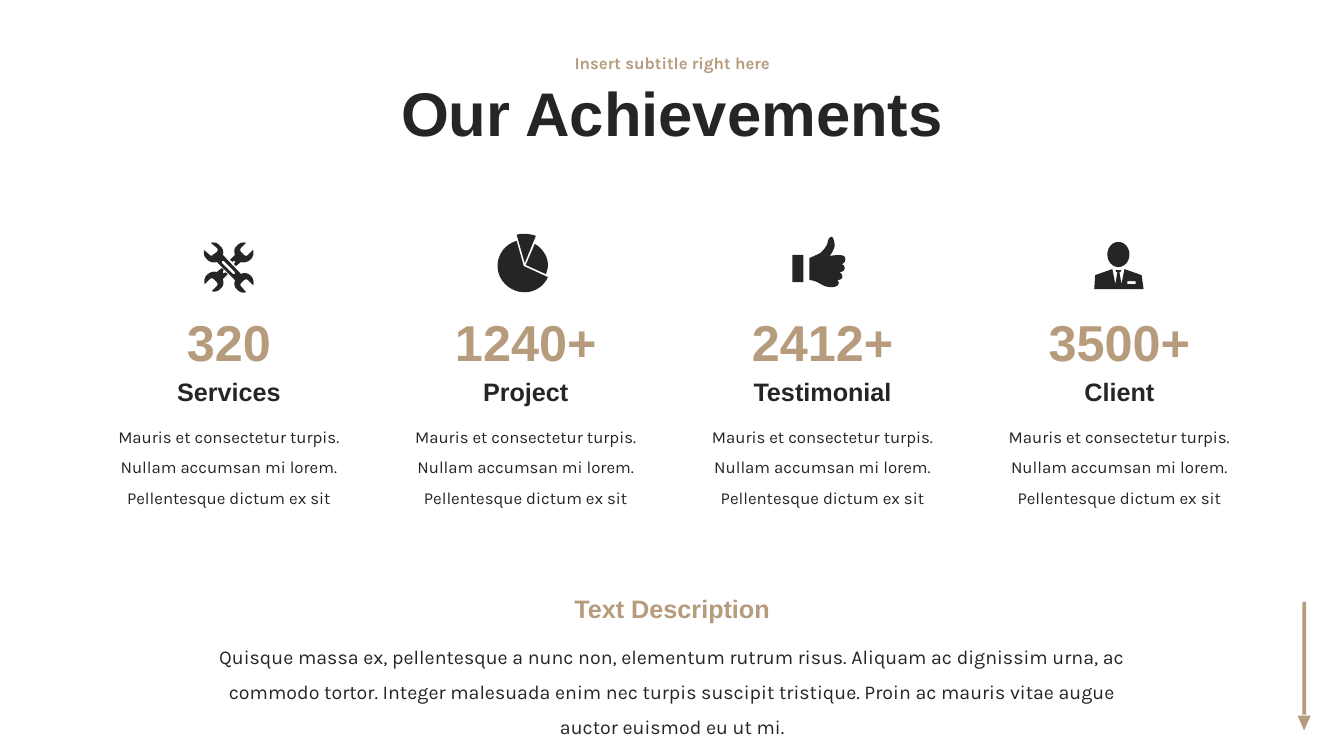
"""Build the "Our Achievements" slide with four icon columns and a description."""
from dataclasses import dataclass

from lxml.etree import SubElement
from pptx import Presentation
from pptx.dml.color import RGBColor
from pptx.enum.shapes import MSO_SHAPE as Shape
from pptx.enum.text import MSO_ANCHOR as Anchor, MSO_AUTO_SIZE as AutoSize, PP_ALIGN as Align
from pptx.oxml.ns import qn
from pptx.util import Cm, Pt


@dataclass(frozen=True)
class Theme:
    """Hold the colours, fonts and type sizes of the slide."""
    ink: RGBColor = RGBColor(0x24, 0x25, 0x27)
    accent: RGBColor = RGBColor(0xB6, 0x9B, 0x7D)
    paper: RGBColor = RGBColor(0xFF, 0xFF, 0xFF)
    heading_font: str = "Arial"
    body_font: str = "Karla"
    title: int = 44
    number: int = 36
    label: int = 18
    description: int = 14
    body: int = 12


THEME = Theme()
ICON_UNIT = Cm(0.0254)
ICON_Y = Cm(6.73)
FIRST_COLUMN, COLUMN_PITCH = 5.77, 7.48
COLUMN_TEXT = "Mauris et consectetur turpis. Nullam accumsan mi lorem. Pellentesque dictum ex sit"
DESCRIPTION = (
    "Quisque massa ex, pellentesque a nunc non, elementum rutrum risus. "
    "Aliquam ac dignissim urna, ac commodo tortor. Integer malesuada enim nec "
    "turpis suscipit tristique. Proin ac mauris vitae augue auctor euismod eu ut mi."
)

PIE_RIGHT = [(0, -2), (20, 7), (21, 4, 22, 1, 22, -2), (22, -11, 16, -19, 9, -23)]
PIE_MAIN = [(-2, -1), (-9, -26), (-20, -23, -28, -13, -28, -1),
            (-28, 13, -16, 25, -1, 25), (9, 25, 18, 19, 22, 10)]
PIE_TOP = [(-1, -4), (10, -31), (7, -32, 3, -33, -2, -33), (-4, -33, -6, -33, -9, -32)]

HALF_WRENCH = [
    (4, -5), (4, -6), (6, -6), (6, -4), (5, -3), (7, -1), (12, -5),
    (15, -4, 19, -5, 22, -8), (24, -10, 25, -14, 24, -17), (19, -12),
    (18, -11, 16, -11, 15, -12), (12, -15), (11, -16, 11, -18, 12, -19),
    (17, -24), (14, -25, 10, -24, 8, -21), (5, -19, 5, -15, 6, -12), (1, -7)]
OTHER_HALF = [tuple(-value for value in step) for step in HALF_WRENCH]
FULL_WRENCH = [
    (22, 9), (19, 6, 15, 5, 12, 7), (-6, -12), (-5, -15, -6, -19, -9, -21),
    (-11, -24, -15, -25, -18, -24), (-12, -19), (-11, -18, -11, -16, -12, -15),
    (-16, -12), (-17, -11, -18, -11, -19, -12), (-25, -17),
    (-25, -14, -25, -10, -22, -8), (-20, -5, -16, -4, -12, -5), (6, 13),
    (5, 16, 5, 20, 8, 22), (10, 25, 14, 26, 17, 25), (12, 19),
    (11, 18, 11, 17, 12, 16), (15, 13), (16, 12, 18, 12, 19, 13), (24, 18),
    (25, 15, 24, 11, 22, 9)]
WRENCH_SLOT = [(6, 7), (4, 7), (-7, -4), (-7, -6), (-5, -6), (6, 5)]

HAND = [
    (21, -11), (18, -13, 7, -11, 7, -11), (9, -13, 12, -19, 12, -21),
    (12, -24, 11, -30, 9, -30), (6, -30, 5, -25, 5, -24), (4, -20, 0, -16, -2, -14),
    (-6, -12, -8, -11, -13, -9), (-13, 13), (-10, 13, -8, 14, -5, 15),
    (0, 18, 3, 20, 9, 20), (18, 20, 17, 13, 14, 13), (21, 13, 21, 8, 17, 5),
    (24, 5, 23, -3, 18, -3), (23, -3, 24, -9, 21, -11)]
CUFF = (Shape.RECTANGLE, -30, -12, 11, 27)

SUIT = [(22, 8), (5, 2), (2, 17), (0, 5), (1, 5), (2, 3), (-4, 3), (-3, 5),
        (-2, 5), (-4, 17), (-7, 2), (-24, 8), (-25, 22), (24, 22)]
POCKET = [(16, 17), (8, 17), (8, 14), (16, 14)]
HEAD = (Shape.OVAL, -12, -25, 22, 25)

ACHIEVEMENTS = [
    ("320", 5.13, "Services", 4.72, [[HALF_WRENCH], [OTHER_HALF], [FULL_WRENCH, WRENCH_SLOT]], []),
    ("1240+", 5.97, "Project", 4.72, [[PIE_RIGHT], [PIE_MAIN], [PIE_TOP]], []),
    ("2412+", 5.97, "Testimonial", 6.2, [[HAND]], [CUFF]),
    ("3500+", 5.97, "Client", 4.72, [[SUIT, POCKET]], [HEAD]),
]


def paint(shape, color):
    """Give a shape a plain fill with no line or shadow."""
    shape.fill.solid()
    shape.fill.fore_color.rgb = color
    shape.line.fill.background()
    shape.shadow.inherit = False


def add_block(slide, kind, left, top, width, height, color):
    """Add a plain preset shape."""
    block = slide.shapes.add_shape(kind, left, top, width, height)
    paint(block, color)
    return block


def add_text(slide, text, box, size, color, font, bold=False, spacing=None, anchor=None):
    """Add a centred paragraph; an anchored box keeps its height, others grow."""
    frame = slide.shapes.add_textbox(*map(Cm, box)).text_frame
    frame.word_wrap = True
    if anchor is None:
        frame.auto_size = AutoSize.SHAPE_TO_FIT_TEXT
    else:
        frame.vertical_anchor = anchor
    paragraph = frame.paragraphs[0]
    paragraph.text = text
    paragraph.alignment = Align.CENTER
    paragraph.line_spacing = spacing
    paragraph.font.name = font
    paragraph.font.size = Pt(size)
    paragraph.font.bold = bold
    paragraph.font.color.rgb = color


def trace(contour, steps=8):
    """Turn points and cubic curve steps into a list of scaled points."""
    points = [contour[0]]
    for step in contour[1:]:
        if len(step) == 2:
            points.append(step)
            continue
        controls = [points[-1], step[:2], step[2:4], step[4:]]
        for index in range(1, steps + 1):
            t = index / steps
            weights = ((1 - t) ** 3, 3 * t * (1 - t) ** 2, 3 * t * t * (1 - t), t ** 3)
            points.append(tuple(sum(w * control[axis] for w, control in zip(weights, controls))
                                for axis in (0, 1)))
    return [(x * ICON_UNIT, y * ICON_UNIT) for x, y in points]


def add_outline(slide, contours, center):
    """Add one freeform made of closed contours around the icon centre."""
    first, *holes = map(trace, contours)
    builder = slide.shapes.build_freeform(*first[0])
    builder.add_line_segments(first[1:])
    for hole in holes:
        builder.move_to(*hole[0])
        builder.add_line_segments(hole[1:])
    paint(builder.convert_to_shape(center, ICON_Y), THEME.ink)


def add_achievement(slide, middle, number, number_width, label, label_width, outlines, blocks):
    """Add a column with icon, number, label and text."""
    center = Cm(middle)
    for contours in outlines:
        add_outline(slide, contours, center)
    for kind, x, y, width, height in blocks:
        add_block(slide, kind, center + x * ICON_UNIT, ICON_Y + y * ICON_UNIT,
                  width * ICON_UNIT, height * ICON_UNIT, THEME.ink)
    add_text(slide, label, (middle - label_width / 2, 9.37, label_width, 1.02),
             THEME.label, THEME.ink, THEME.heading_font, bold=True)
    add_text(slide, number, (middle - number_width / 2, 7.72, number_width, 1.8),
             THEME.number, THEME.accent, THEME.heading_font, bold=True)
    add_text(slide, COLUMN_TEXT, (middle - 3.33, 10.38, 6.66, 2.49),
             THEME.body, THEME.ink, THEME.body_font, spacing=1.5)


def add_down_arrow(slide):
    """Add the slim arrow at the right edge."""
    add_block(slide, Shape.RECTANGLE, Cm(32.82), Cm(15.17), Cm(0.1), Cm(2.84), THEME.accent)
    tip = add_block(slide, Shape.ISOSCELES_TRIANGLE, Cm(32.7), Cm(18.03), Cm(0.33), Cm(0.38),
                    THEME.accent)
    tip.rotation = 180


def add_veil(slide):
    """Add the translucent band behind the columns."""
    veil = add_block(slide, Shape.RECTANGLE, 0, Cm(4.93), Cm(33.87), Cm(8.86), THEME.paper)
    color = veil.fill._xPr.find(qn("a:solidFill"))[0]
    SubElement(color, qn("a:alpha")).set("val", "85000")


def main():
    """Build and save the slide."""
    deck = Presentation()
    deck.slide_width, deck.slide_height = Cm(33.87), Cm(19.05)
    slide = deck.slides.add_slide(deck.slide_layouts[6])
    add_down_arrow(slide)
    add_veil(slide)
    add_text(slide, "Our Achievements", (7.42, 1.63, 19.05, 2.62), THEME.title, THEME.ink,
             THEME.heading_font, bold=True, spacing=0.9, anchor=Anchor.MIDDLE)
    add_text(slide, "Insert subtitle right here", (7.42, 1.14, 19.05, 0.97), THEME.body,
             THEME.accent, THEME.body_font, bold=True, spacing=0.9, anchor=Anchor.MIDDLE)
    for index, achievement in enumerate(ACHIEVEMENTS):
        add_achievement(slide, FIRST_COLUMN + index * COLUMN_PITCH, *achievement)
    add_text(slide, DESCRIPTION, (4.88, 15.82, 24.13, 1.96), THEME.description, THEME.ink,
             THEME.body_font, spacing=1.5)
    add_text(slide, "Text Description", (13.23, 14.83, 7.42, 1.02), THEME.label, THEME.accent,
             THEME.heading_font, bold=True)
    deck.save("out.pptx")


if __name__ == "__main__":
    main()
